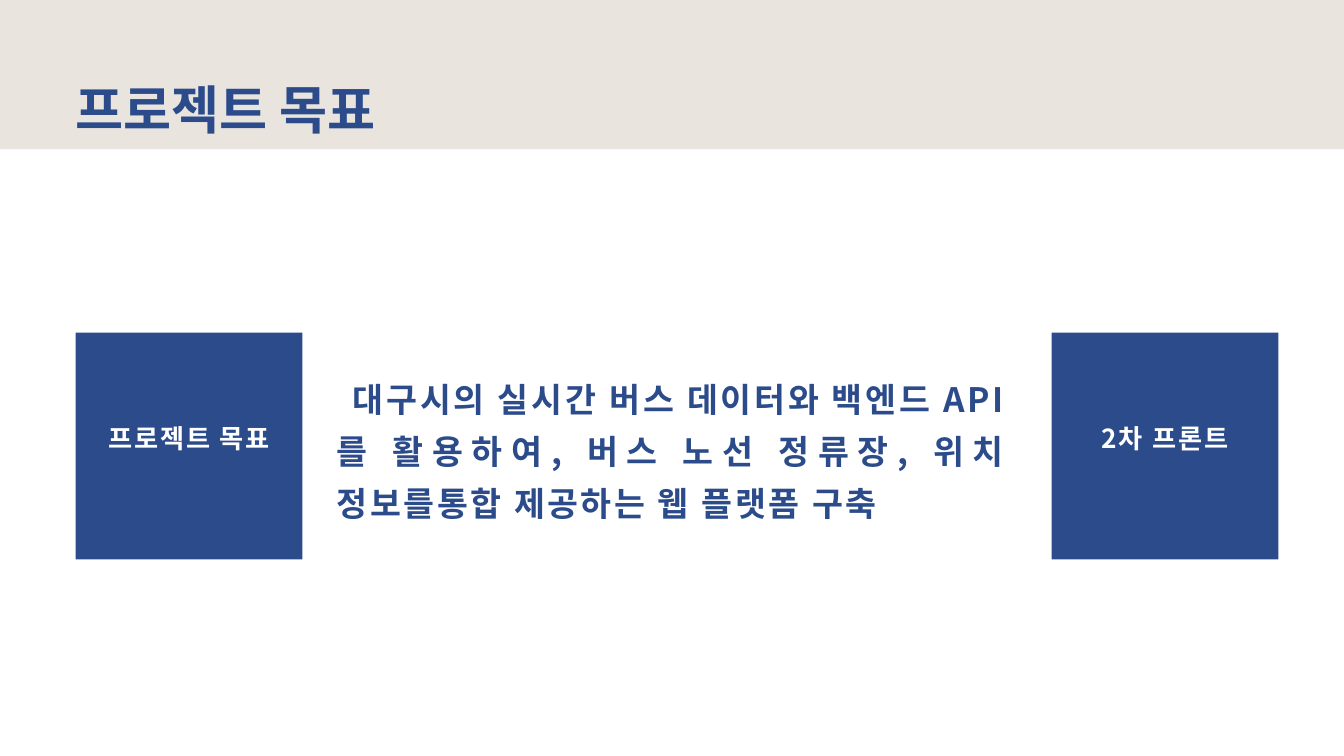
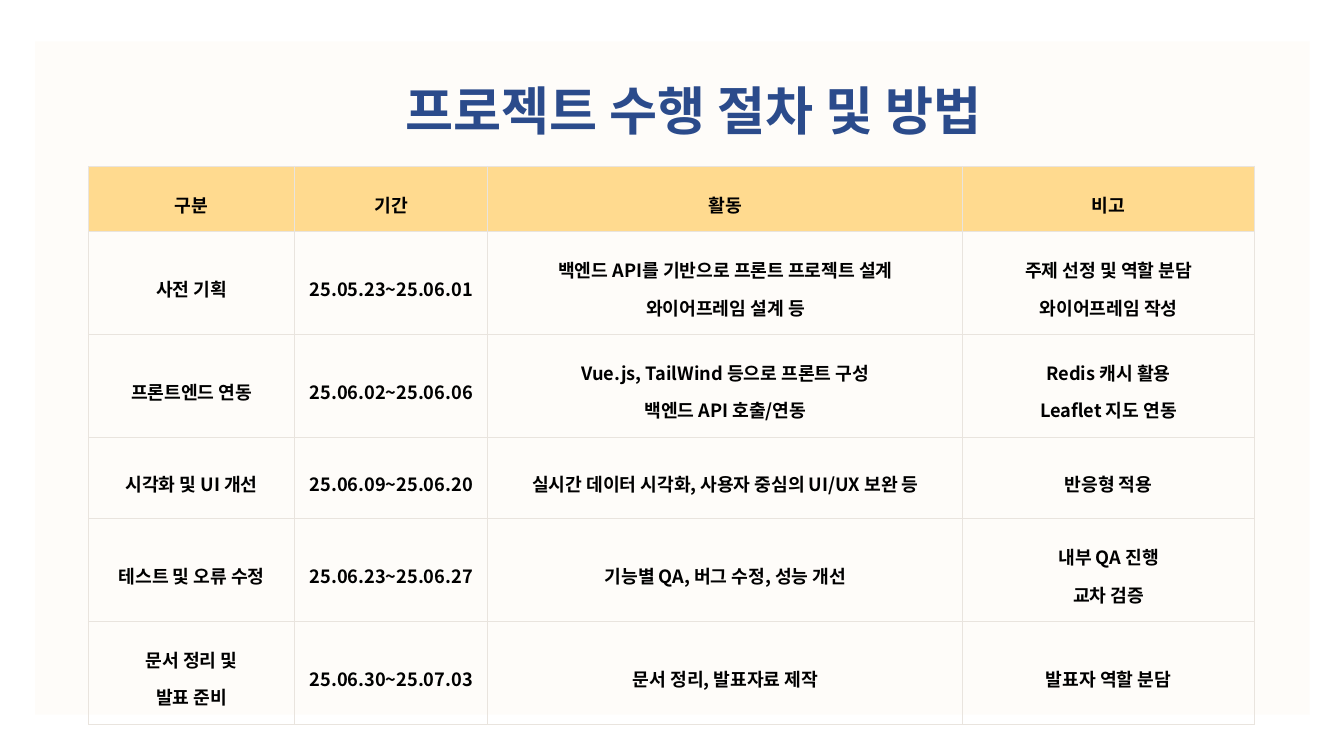
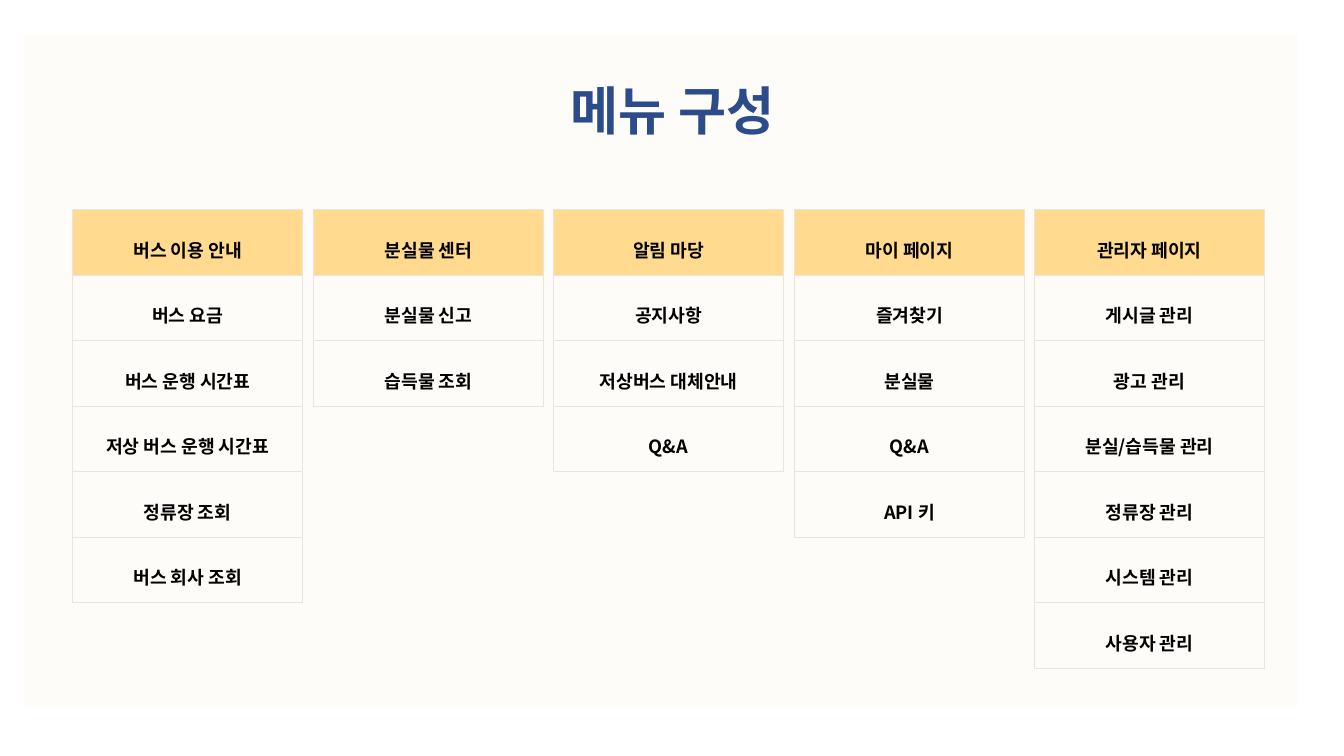
from lxml import etree
from pptx import Presentation
from pptx.dml.color import RGBColor
from pptx.enum.shapes import MSO_SHAPE
from pptx.enum.text import MSO_ANCHOR, MSO_AUTO_SIZE, PP_ALIGN
from pptx.oxml.ns import qn
from pptx.util import Emu, Pt

PX = 9144
SLIDE_WIDTH, SLIDE_HEIGHT = 1333, 750
TITLE_ONLY = 5
FONT = "Noto Sans CJK KR"
RECTANGLE = MSO_SHAPE.RECTANGLE
TOP, MIDDLE = MSO_ANCHOR.TOP, MSO_ANCHOR.MIDDLE
LEFT, CENTER, JUSTIFY = PP_ALIGN.LEFT, PP_ALIGN.CENTER, PP_ALIGN.JUSTIFY
NO_FIT = MSO_AUTO_SIZE.NONE

COLORS = {
    "navy": "2B4B8B",
    "sand": "E9E4DE",
    "cream": "FEFCF9",
    "amber": "FFDA8F",
    "white": "FFFFFF",
    "black": "000000",
}

GOAL = "대구시의 실시간 버스 데이터와 백엔드 API를 활용하여, 버스 노선 정류장, 위치 정보를통합 제공하는 웹 플랫폼 구축"

SCHEDULE = [
    ["구분", "기간", "활동", "비고"],
    ["사전 기획", "25.05.23~25.06.01",
     "백엔드 API를 기반으로 프론트 프로젝트 설계\n와이어프레임 설계 등",
     "주제 선정 및 역할 분담\n와이어프레임 작성"],
    ["프론트엔드 연동", "25.06.02~25.06.06",
     "Vue.js, TailWind 등으로 프론트 구성\n백엔드 API 호출/연동",
     "Redis 캐시 활용\nLeaflet 지도 연동"],
    ["시각화 및 UI 개선", "25.06.09~25.06.20",
     "실시간 데이터 시각화, 사용자 중심의 UI/UX 보완 등", "반응형 적용"],
    ["테스트 및 오류 수정", "25.06.23~25.06.27",
     "기능별 QA, 버그 수정, 성능 개선", "내부 QA 진행\n교차 검증"],
    ["문서 정리 및\n발표 준비", "25.06.30~25.07.03",
     "문서 정리, 발표자료 제작", "발표자 역할 분담"],
]

MENUS = [
    ["버스 이용 안내", "버스 요금", "버스 운행 시간표", "저상 버스 운행 시간표",
     "정류장 조회", "버스 회사 조회"],
    ["분실물 센터", "분실물 신고", "습득물 조회"],
    ["알림 마당", "공지사항", "저상버스 대체안내", "Q&A"],
    ["마이 페이지", "즐겨찾기", "분실물", "Q&A", "API 키"],
    ["관리자 페이지", "게시글 관리", "광고 관리", "분실/습득물 관리",
     "정류장 관리", "시스템 관리", "사용자 관리"],
]


def px(length):
    """Turn pixels into EMU."""
    return Emu(round(length * PX))


def color(key):
    """Look up a palette colour."""
    return RGBColor.from_string(COLORS[key])


def style_text(frame, size, ink, align, leading, tracking=0):
    """Format every paragraph and run of a text frame."""
    for paragraph in frame.paragraphs:
        paragraph.alignment = align
        paragraph.line_spacing = Pt(leading)
        for run in paragraph.runs:
            run.font.size = Pt(size)
            run.font.bold = True
            run.font.name = FONT
            run.font.color.rgb = color(ink)
            properties = run.font._element
            east_asian = etree.Element(qn("a:ea"), typeface=FONT)
            properties.find(qn("a:latin")).addnext(east_asian)
            if tracking:
                properties.set("spc", str(round(tracking * 100)))


def set_insets(holder, left, top, right, bottom):
    """Set the inner margins of a text frame or table cell."""
    holder.margin_left, holder.margin_top = px(left), px(top)
    holder.margin_right, holder.margin_bottom = px(right), px(bottom)


def add_block(slide, box, fill):
    """Add a plain filled rectangle."""
    block = slide.shapes.add_shape(RECTANGLE, *map(px, box))
    block.shadow.inherit = False
    block.fill.solid()
    block.fill.fore_color.rgb = color(fill)
    block.line.fill.background()
    return block


def add_titled_slide(deck, heading, title_box, align, backdrop_box, backdrop_fill):
    """Start a slide with a coloured backdrop and its title."""
    slide = deck.slides.add_slide(deck.slide_layouts[TITLE_ONLY])
    backdrop = add_block(slide, backdrop_box, backdrop_fill)
    title = slide.shapes.title
    backdrop._element.addnext(title._element)
    title.left, title.top, title.width, title.height = map(px, title_box)
    frame = title.text_frame
    frame.text = heading
    frame.word_wrap = True
    frame.auto_size = NO_FIT
    frame.vertical_anchor = TOP
    set_insets(frame, 0, 0, 0, 0)
    style_text(frame, 37.3, "navy", align, 52.3)
    return slide


def add_label_block(slide, box, label):
    """Add a navy square with its label slightly above the middle."""
    frame = add_block(slide, box, "navy").text_frame
    frame.text = label
    frame.word_wrap = True
    frame.vertical_anchor = MIDDLE
    set_insets(frame, 4, 4, 4, 24)
    style_text(frame, 18.7, "white", CENTER, 26.1, 1.3)


def add_statement(slide, box, statement):
    """Add the justified goal statement."""
    frame = slide.shapes.add_textbox(*map(px, box)).text_frame
    frame.text = statement
    frame.word_wrap = True
    set_insets(frame, 0, 0, 0, 0)
    style_text(frame, 24, "navy", JUSTIFY, 37.3, 1.8)
    frame.paragraphs[0]._p.get_or_add_pPr().set("indent", str(px(16)))


def add_borders(cell, width):
    """Draw a thin line on all four sides of a cell."""
    properties = cell._tc.get_or_add_tcPr()
    for side in ("lnL", "lnR", "lnT", "lnB"):
        line = etree.SubElement(properties, qn(f"a:{side}"), w=str(Pt(width)))
        fill = etree.SubElement(line, qn("a:solidFill"))
        etree.SubElement(fill, qn("a:srgbClr"), val=COLORS["sand"])


def add_grid(slide, origin, widths, heights, rows, inset, leading, border):
    """Add a table with an amber header row and clear body rows."""
    size = (sum(widths), sum(heights))
    table = slide.shapes.add_table(
        len(rows), len(widths), *map(px, (*origin, *size))).table
    table.first_row = table.horz_banding = False
    for column, width in zip(table.columns, widths):
        column.width = px(width)
    for row, height in zip(table.rows, heights):
        row.height = px(height)
    for row_index, row in enumerate(rows):
        for column_index, entry in enumerate(row):
            cell = table.cell(row_index, column_index)
            add_borders(cell, border)
            if row_index == 0:
                cell.fill.solid()
                cell.fill.fore_color.rgb = color("amber")
            else:
                cell.fill.background()
            cell.vertical_anchor = MIDDLE
            set_insets(cell, inset, inset, inset, inset)
            cell.text_frame.text = entry
            style_text(cell.text_frame, 13, "black", CENTER, leading)


def add_menus(slide, box, menu_width, row_height):
    """Spread the menu columns evenly across the box."""
    left, top, width = box
    gaps = len(MENUS) - 1
    for index, menu in enumerate(MENUS):
        offset = (index * (width - menu_width) + gaps // 2) // gaps
        add_grid(slide, (left + offset, top), [menu_width],
                 [row_height] * len(menu), [[entry] for entry in menu],
                 12, 28.3, 0.64)


def build_goal(deck):
    """Build the project goal slide."""
    slide = add_titled_slide(deck, "프로젝트 목표", (75, 66, 614, 66), LEFT,
                             (0, 0, SLIDE_WIDTH, 148), "sand")
    for left, label in ((75, "프로젝트 목표"), (1043, "2차 프론트")):
        add_label_block(slide, (left, 330, 225, 225), label)
    add_statement(slide, (334, 364, 664, 156), GOAL)


def build_schedule(deck):
    """Build the schedule slide."""
    slide = add_titled_slide(deck, "프로젝트 수행 절차 및 방법", (360, 67, 656, 73),
                             CENTER, (35, 41, 1264, 668), "cream")
    add_grid(slide, (88, 165), [204, 192, 471, 289], [58] + [81] * 5,
             SCHEDULE, 14, 26.6, 0.75)


def build_menu(deck):
    """Build the menu structure slide."""
    slide = add_titled_slide(deck, "메뉴 구성", (360, 67, 614, 66), CENTER,
                             (23, 35, 1264, 667), "cream")
    add_menus(slide, (72, 208, 1182), 228, 65)


def main():
    """Build and save the deck."""
    deck = Presentation()
    deck.slide_width, deck.slide_height = px(SLIDE_WIDTH), px(SLIDE_HEIGHT)
    for build in (build_goal, build_schedule, build_menu):
        build(deck)
    deck.save("out.pptx")


if __name__ == "__main__":
    main()
